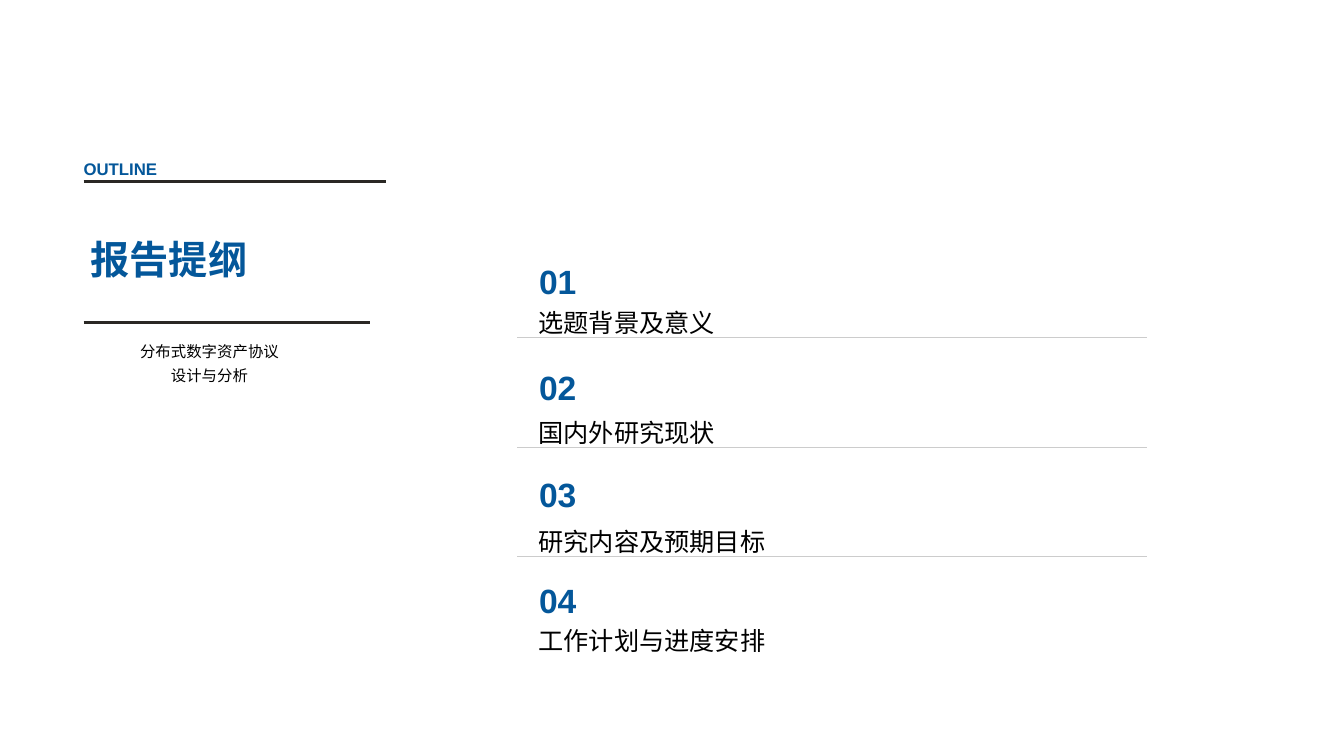
import dataclasses
import typing

import lxml.etree
import pptx
import pptx.dml.color
import pptx.enum.shapes
import pptx.enum.text
import pptx.oxml.ns
import pptx.util

Pt = pptx.util.Pt
Align = pptx.enum.text.PP_ALIGN
Anchor = pptx.enum.text.MSO_ANCHOR

BLUE = pptx.dml.color.RGBColor(0x04, 0x57, 0x9A)
BLACK = pptx.dml.color.RGBColor(0x00, 0x00, 0x00)
CHARCOAL = pptx.dml.color.RGBColor(0x2A, 0x28, 0x24)
SILVER = pptx.dml.color.RGBColor(0xCC, 0xCC, 0xCC)

FONT_NAME = "Arial"
NUMBER_TOP, NUMBER_STEP = 182.2, 76.05
RULE_TOP, RULE_STEP = 241.3, 78.2
LABEL_HEIGHT = 30.2
LAST_LABEL_BOTTOM = 468


@dataclasses.dataclass(frozen=True)
class TextItem:
    lines: tuple[str, ...]
    left: float
    top: float
    width: float
    height: float
    size: float
    color: pptx.dml.color.RGBColor = BLUE
    bold: bool = True
    anchor: Anchor = Anchor.MIDDLE
    align: Align = Align.LEFT
    spacing: float = 1.3
    inset: float = 0


@dataclasses.dataclass(frozen=True)
class Rule:
    left: float
    right: float
    top: float
    color: pptx.dml.color.RGBColor
    weight: float


HEADING = TextItem(("报告提纲",), 57.6, 141.8, 218.2, 75.6, 28)
SUBTITLE = TextItem(
    ("分布式数字资产协议", "设计与分析"), 59, 240.5, 181.4, 56.9, 11,
    color=BLACK, bold=False, anchor=Anchor.TOP, align=Align.CENTER,
)
OUTLINE = TextItem(
    ("OUTLINE",), 52.6, 105.8, 234, 19.4, 12, anchor=Anchor.TOP, inset=3.6
)
TOPICS = ("选题背景及意义", "国内外研究现状", "研究内容及预期目标", "工作计划与进度安排")
HEADING_RULES = (
    Rule(59.8, 275.8, 129.6, CHARCOAL, 1.75),
    Rule(59.8, 264.2, 230.4, CHARCOAL, 2.5),
)


def apply_format(target: typing.Any, values: dict[str, typing.Any]) -> None:
    for name, value in values.items():
        setattr(target, name, value)


def fill_text(box: typing.Any, item: TextItem) -> None:
    apply_format(box, {
        "left": Pt(item.left), "top": Pt(item.top),
        "width": Pt(item.width), "height": Pt(item.height),
    })
    frame = box.text_frame
    apply_format(frame, {
        "word_wrap": True, "auto_size": pptx.enum.text.MSO_AUTO_SIZE.NONE,
        "vertical_anchor": item.anchor,
        "margin_left": Pt(7.2), "margin_right": Pt(7.2),
        "margin_top": Pt(item.inset), "margin_bottom": Pt(item.inset),
    })
    for index, line in enumerate(item.lines):
        para = frame.add_paragraph() if index else frame.paragraphs[0]
        apply_format(para, {
            "alignment": item.align, "line_spacing": item.spacing,
            "space_before": Pt(0),
        })
        span = para.add_run()
        span.text = line
        apply_format(span.font, {
            "name": FONT_NAME, "size": Pt(item.size), "bold": item.bold,
        })
        span.font.color.rgb = item.color


def add_text(page: typing.Any, item: TextItem) -> None:
    fill_text(page.shapes.add_textbox(0, 0, 0, 0), item)


def add_rule(page: typing.Any, rule: Rule) -> None:
    line = page.shapes.add_connector(
        pptx.enum.shapes.MSO_CONNECTOR.STRAIGHT,
        Pt(rule.left), Pt(rule.top), Pt(rule.right), Pt(rule.top),
    )
    line.line.color.rgb = rule.color
    line.line.width = Pt(rule.weight)
    properties = line._element.spPr
    lxml.etree.SubElement(properties, pptx.oxml.ns.qn("a:effectLst"))


def add_topic(page: typing.Any, index: int, topic: str) -> None:
    number_top = NUMBER_TOP + index * NUMBER_STEP
    add_text(page, TextItem((f"{index + 1:02d}",), 378, number_top, 113, 28.1, 24))
    is_last = index == len(TOPICS) - 1
    bottom = LAST_LABEL_BOTTOM if is_last else RULE_TOP + index * RULE_STEP
    add_text(page, TextItem(
        (topic,), 377.6, bottom - LABEL_HEIGHT, 253.4, LABEL_HEIGHT, 18,
        color=BLACK, bold=False, anchor=Anchor.BOTTOM, spacing=1.0,
    ))
    if not is_last:
        add_rule(page, Rule(369.4, 819.4, bottom, SILVER, 0.5))


def main() -> None:
    deck = pptx.Presentation()
    apply_format(deck, {"slide_width": Pt(960), "slide_height": Pt(540)})
    page = deck.slides.add_slide(deck.slide_layouts[0])
    fill_text(page.shapes.title, HEADING)
    fill_text(page.placeholders[1], SUBTITLE)
    add_text(page, OUTLINE)
    for rule in HEADING_RULES:
        add_rule(page, rule)
    for index, topic in enumerate(TOPICS):
        add_topic(page, index, topic)
    deck.save("out.pptx")


if __name__ == "__main__":
    main()
